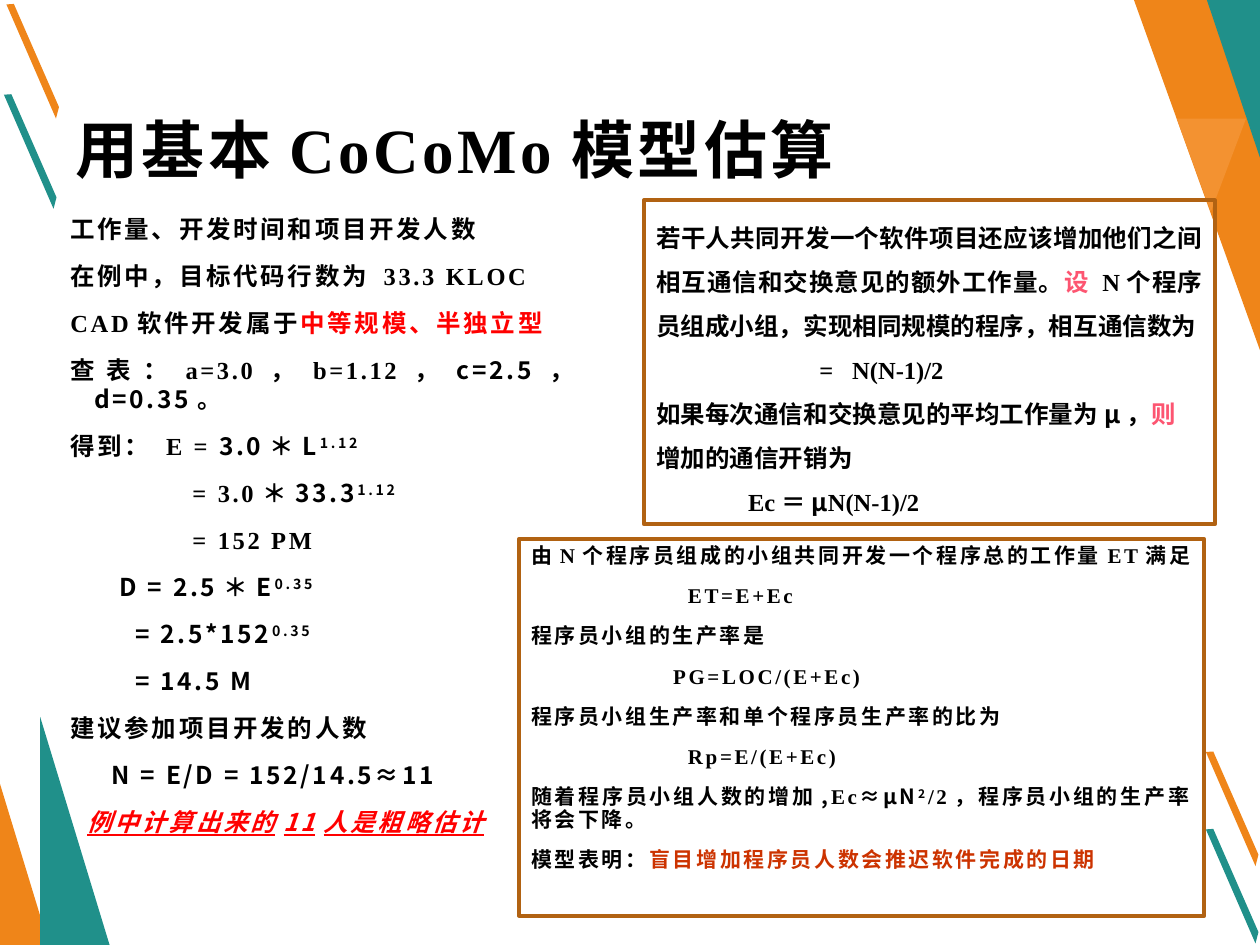
from pptx import Presentation
from pptx.dml.color import RGBColor
from pptx.enum.shapes import MSO_SHAPE
from pptx.enum.text import MSO_ANCHOR, PP_ALIGN
from pptx.oxml.ns import qn
from pptx.util import Cm, Pt
from lxml.etree import SubElement

SANS, SERIF = "Noto Sans CJK SC", "Times New Roman"
ORANGE, TEAL, LIGHT, BORDER = "EF8519", "20908A", "F39231", "B16212"
BLACK, RED, PINK, RUST = "000000", "FF0000", "FD5571", "CC3300"


def rgb(value):
    return RGBColor.from_string(value)


def sans(text, color=BLACK, **extra):
    return dict(text=text, font=SANS, color=color, **extra)


def serif(text, color=BLACK):
    return dict(text=text, font=SERIF, color=color)


def sup(text):
    return sans(text, raised=True)


def para(*runs, left=0, first=0, align=PP_ALIGN.JUSTIFY):
    return dict(runs=runs, left=left, first=first, align=align)


def hang(*runs):
    return para(*runs, left=0.48, first=-0.48)


class Deck:
    def __init__(self, prs):
        self.slide = prs.slides.add_slide(prs.slide_layouts[6])

    def paint(self, sp, color):
        sp.shadow.inherit = False
        sp.fill.solid()
        sp.fill.fore_color.rgb = rgb(color)
        sp.line.fill.background()

    def polygon(self, points, color):
        pts = [(Cm(x), Cm(y)) for x, y in points]
        builder = self.slide.shapes.build_freeform(*pts[0], scale=1.0)
        builder.add_line_segments(pts[1:], close=True)
        self.paint(builder.convert_to_shape(), color)

    def slash(self, x, y, color):
        outline = [(0, 0), (0.15, -0.01), (1.06, 2.07), (1, 2.3)]
        self.polygon([(x + dx, y + dy) for dx, dy in outline], color)

    def corner(self, x, y, w, h, color):
        sp = self.slide.shapes.add_shape(
            MSO_SHAPE.ISOSCELES_TRIANGLE, Cm(x), Cm(y), Cm(w), Cm(h))
        sp.adjustments[0] = 0
        self.paint(sp, color)

    def text(self, box, paras, **style):
        sp = self.slide.shapes.add_textbox(*map(Cm, box))
        self.fill_text(sp, paras, **style)

    def frame(self, box, paras, **style):
        sp = self.slide.shapes.add_shape(MSO_SHAPE.RECTANGLE, *map(Cm, box))
        sp.shadow.inherit = False
        sp.fill.background()
        sp.line.color.rgb = rgb(BORDER)
        sp.line.width = Pt(2.25)
        self.fill_text(sp, paras, **style)

    def fill_text(self, sp, paras, size, spacing=0, after=0, line=1.0,
                  anchor=MSO_ANCHOR.TOP):
        tf = sp.text_frame
        tf.word_wrap = True
        tf.vertical_anchor = anchor
        for i, item in enumerate(paras):
            p = tf.add_paragraph() if i else tf.paragraphs[0]
            p.alignment = item["align"]
            p.line_spacing = line
            p.space_before, p.space_after = Pt(0), Pt(after)
            pPr = p._p.get_or_add_pPr()
            pPr.set("marL", str(Cm(item["left"])))
            pPr.set("indent", str(Cm(item["first"])))
            for run in item["runs"]:
                self.add_run(p, size, spacing, **run)

    def add_run(self, p, size, spacing, text, font, color, raised=False,
                accent=False):
        r = p.add_run()
        r.text = text
        r.font.size = Pt(size)
        r.font.bold = True
        r.font.name = font
        r.font.color.rgb = rgb(color)
        if accent:
            r.font.italic = r.font.underline = True
        rPr = r._r.get_or_add_rPr()
        rPr.set("spc", str(int(spacing * 100)))
        if raised:
            rPr.set("baseline", "30000")
        SubElement(rPr, qn("a:ea")).set("typeface", SANS)


def main():
    prs = Presentation()
    prs.slide_width, prs.slide_height = Cm(25.4), Cm(19.05)
    s = Deck(prs)

    # Corner decoration
    for x, y, color in [(24.31, 15.16, ORANGE), (0.08, 1.91, TEAL),
                        (0.13, 0.09, ORANGE), (24.31, 16.72, TEAL)]:
        s.slash(x, y, color)
    s.polygon([(22.86, 0), (25.4, 0), (25.4, 7.06)], ORANGE)
    s.polygon([(24.33, 0), (25.4, 0), (25.4, 3.18)], TEAL)
    s.polygon([(25.12, 2.39), (24.41, 4.27), (23.72, 2.39)], LIGHT)
    s.corner(0, 15.8, 0.99, 3.25, ORANGE)
    s.corner(0.81, 14.45, 1.4, 4.6, TEAL)

    # Title
    s.text((1.27, 1.27, 22.86, 3.45), [
        para(sans("用基本"), serif("CoCoMo"), sans("模型估算"),
             align=PP_ALIGN.LEFT),
    ], size=36, spacing=2, anchor=MSO_ANCHOR.MIDDLE)

    # Worked example
    s.text((1.17, 4.19, 10.82, 12.88), [
        hang(sans("工作量、开发时间和项目开发人数")),
        hang(sans("在例中，目标代码行数为 "), serif("33.3 KLOC")),
        hang(serif("CAD"), sans("软件开发属于"),
             sans("中等规模、半独立型", RED)),
        hang(sans("查表"), serif("：a=3.0"), sans("，"), serif("b=1.12，"),
             sans("c=2.5，d=0.35。")),
        hang(sans("得到： "), serif("E = "), sans("3.0＊L"), sup("1.12")),
        para(serif("= 3.0＊"), sans("33.3"), sup("1.12"), left=2.46),
        para(serif("= 152 PM"), left=2.46),
        para(sans("D = 2.5＊E"), sup("0.35"), left=0.99),
        para(sans("= 2.5*152"), sup("0.35"), left=1.31),
        para(sans("= 14.5 M"), left=1.31),
        hang(sans("建议参加项目开发的人数")),
        para(sans("N = E/D = 152/14.5≈11"), left=0.83),
        para(sans("例中计算出来的11人是粗略估计", RED, accent=True), left=0.34),
    ], size=14, spacing=1.5, after=10)

    # Communication overhead
    s.frame((12.98, 4.04, 11.51, 6.53), [
        para(sans("若干人共同开发一个软件项目还应该增加他们之间相互通信和"
                  "交换意见的额外工作量。"),
             serif("设 ", PINK), serif("N"),
             sans("个程序员组成小组，实现相同规模的程序，相互通信数为")),
        para(serif("=\tN(N-1)/2"), left=3.95, first=-0.66),
        para(sans("如果每次通信和交换意见的平均工作量为μ，"), sans("则 ", PINK),
             sans("增加的通信开销为"), align=PP_ALIGN.LEFT),
        para(serif("Ec"), sans("＝μ"), serif("N(N-1)/2"), left=1.85),
    ], size=14, line=1.5, anchor=MSO_ANCHOR.MIDDLE)

    # Team productivity
    s.frame((10.46, 10.87, 13.82, 7.59), [
        para(sans("由"), serif("N"),
             sans("个程序员组成的小组共同开发一个程序总的工作量"),
             serif("ET"), sans("满足")),
        para(serif("ET=E+Ec"), left=3.16),
        para(sans("程序员小组的生产率是")),
        para(serif("PG=LOC/(E+Ec)"), left=2.86),
        para(sans("程序员小组生产率和单个程序员生产率的比为")),
        para(serif("Rp=E/(E+Ec)"), left=3.16),
        para(sans("随着程序员小组人数的增加,"), serif("Ec"), sans("≈μN"),
             sup("2"), serif("/2"), sans("，程序员小组的生产率将会下降。")),
        para(sans("模型表明："),
             sans("盲目增加程序员人数会推迟软件完成的日期", RUST)),
    ], size=12, spacing=1.5, after=10, line=0.9)

    prs.save("out.pptx")


if __name__ == "__main__":
    main()
